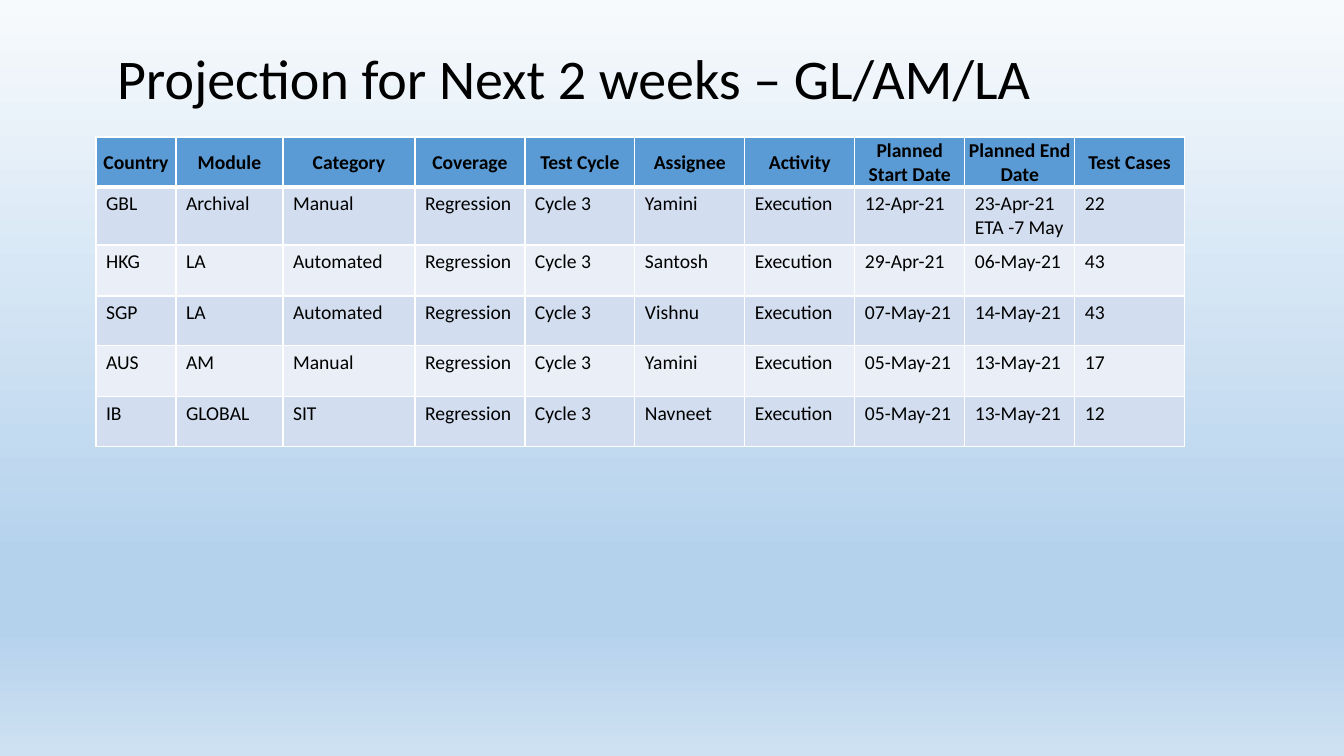
"""Build the two-week test projection slide with its schedule table."""
from lxml import etree
from pptx import Presentation
from pptx import util as u
from pptx.dml import color
from pptx.enum import text
from pptx.oxml import ns

TITLE = "Projection for Next 2 weeks – GL/AM/LA"
HEADERS = ["Country", "Module", "Category", "Coverage", "Test Cycle", "Assignee",
           "Activity", "Planned Start Date", "Planned End Date", "Test Cases"]
SCHEDULE = [
    ("GBL", "Archival", "Manual", "Yamini", "12-Apr-21", "23-Apr-21\nETA -7 May", "22"),
    ("HKG", "LA", "Automated", "Santosh", "29-Apr-21", "06-May-21", "43"),
    ("SGP", "LA", "Automated", "Vishnu", "07-May-21", "14-May-21", "43"),
    ("AUS", "AM", "Manual", "Yamini", "05-May-21", "13-May-21", "17"),
    ("IB", "GLOBAL", "SIT", "Navneet", "05-May-21", "13-May-21", "12"),
]
COVERAGE, CYCLE, ACTIVITY = "Regression", "Cycle 3", "Execution"
BACKGROUND = [(0, "F7FAFD"), (74, "B5D2EC"), (83, "B5D2EC"), (100, "CEE1F2")]
HEADER_FILL, BAND_FILLS, BORDER = "5B9BD5", ("D2DEEF", "EAEFF7"), "FFFFFF"
COLUMN_WIDTHS = [80, 107, 132] + [110] * 7
ROW_HEIGHTS = [50, 58, 51, 50, 51, 50]
TABLE_LEFT, TABLE_TOP = 96, 137
SLIDE_WIDTH, SLIDE_HEIGHT = 1344, 756
SCALE = u.Inches(40 / 3) / SLIDE_WIDTH


def px(length):
    return u.Emu(round(length * SCALE))


def rgb(value):
    return color.RGBColor.from_string(value)


def add_color(parent, value):
    etree.SubElement(parent, ns.qn("a:srgbClr"), val=value)


def paint_background(page):
    fill = page.background.fill
    fill.gradient()
    fill.gradient_angle = 270
    stops = page.background._cSld.find(".//" + ns.qn("a:gsLst"))
    for stop in list(stops):
        stops.remove(stop)
    for percent, value in BACKGROUND:
        add_color(etree.SubElement(stops, ns.qn("a:gs"), pos=str(percent * 1000)), value)


def write(frame, content, size=14, bold=False, align=text.PP_ALIGN.LEFT, spacing=None):
    frame.word_wrap = True
    frame.text = content
    for para in frame.paragraphs:
        para.alignment = align
        para.line_spacing = spacing
        for span in para.runs:
            span.font.name = "Calibri"
            span.font.size = u.Pt(size)
            span.font.bold = bold
            span.font.color.rgb = rgb("000000")


def add_borders(cell, top=1, bottom=1):
    properties = cell._tc.get_or_add_tcPr()
    for side, points in (("L", 1), ("R", 1), ("T", top), ("B", bottom)):
        line = etree.SubElement(properties, ns.qn("a:ln" + side), w=str(u.Pt(points)))
        add_color(etree.SubElement(line, ns.qn("a:solidFill")), BORDER)


def add_title(page):
    box = page.shapes.add_textbox(px(79), px(8), px(1159), px(146))
    frame = box.text_frame
    frame.margin_left = px(38)
    frame.vertical_anchor = text.MSO_ANCHOR.MIDDLE
    write(frame, TITLE, size=40, spacing=0.9)


def add_schedule(page):
    rows = [HEADERS] + [
        (country, module, category, COVERAGE, CYCLE, assignee, ACTIVITY, start, end, cases)
        for country, module, category, assignee, start, end, cases in SCHEDULE
    ]
    table = page.shapes.add_table(
        len(rows), len(HEADERS), px(TABLE_LEFT), px(TABLE_TOP),
        px(sum(COLUMN_WIDTHS)), px(sum(ROW_HEIGHTS))).table
    for column, width in zip(table.columns, COLUMN_WIDTHS):
        column.width = px(width)
    for row, height in zip(table.rows, ROW_HEIGHTS):
        row.height = px(height)
    for r, values in enumerate(rows):
        for c, value in enumerate(values):
            cell = table.cell(r, c)
            header = r == 0
            add_borders(cell, top=3 if r == 1 else 1, bottom=3 if header else 1)
            cell.fill.solid()
            cell.fill.fore_color.rgb = rgb(HEADER_FILL if header else BAND_FILLS[(r - 1) % 2])
            if header:
                cell.margin_left = cell.margin_right = cell.margin_top = px(1)
                cell.margin_bottom = 0
                cell.vertical_anchor = text.MSO_ANCHOR.MIDDLE
            align = text.PP_ALIGN.CENTER if header else text.PP_ALIGN.LEFT
            write(cell.text_frame, value, bold=header, align=align)


deck = Presentation()
deck.slide_width, deck.slide_height = px(SLIDE_WIDTH), px(SLIDE_HEIGHT)
page = deck.slides.add_slide(deck.slide_layouts[6])
paint_background(page)
add_title(page)
add_schedule(page)
deck.save("out.pptx")
